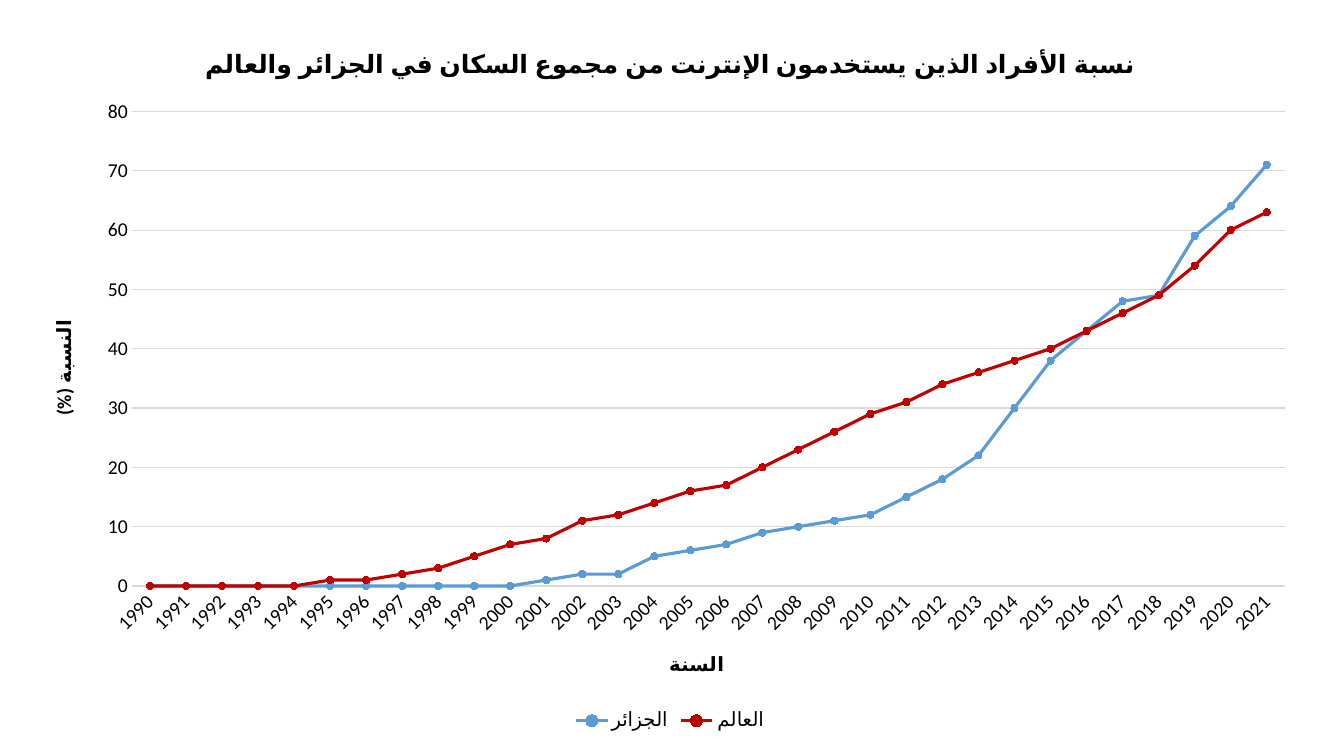
from dataclasses import dataclass

from lxml.etree import SubElement
from pptx import Presentation
from pptx.chart.chart import Chart
from pptx.chart.data import CategoryChartData as ChartData
from pptx.dml.color import RGBColor
from pptx.enum.chart import XL_CHART_TYPE as ChartType
from pptx.enum.chart import XL_LEGEND_POSITION as LegendPlace
from pptx.enum.chart import XL_MARKER_STYLE as MarkerStyle
from pptx.enum.chart import XL_TICK_MARK as TickMark
from pptx.oxml.ns import qn
from pptx.util import Inches, Pt

SLIDE_WIDTH, SLIDE_HEIGHT = Inches(13.33), Inches(7.5)
CHART_SHARES = (0.022, 0.035, 0.953, 0.937)
PLOT_SHARES = {"x": 0.08, "y": 0.12, "w": 0.9, "h": 0.67}
BLACK, GRID_GREY = "000000", "D9D9D9"
BODY = {"name": "Calibri", "size": Pt(14), "bold": False}
AXIS_HEADING = BODY | {"bold": True}
HEADING = AXIS_HEADING | {"size": Pt(18)}
YEARS = range(1990, 2022)


@dataclass
class Trend:
    name: str
    color: str
    values: list[int]


TRENDS = [
    Trend("الجزائر", "5B9BD5",
          [0] * 11 + [1, 2, 2, 5, 6, 7, 9, 10, 11, 12, 15, 18, 22, 30, 38, 43,
                      48, 49, 59, 64, 71]),
    Trend("العالم", "C00000",
          [0] * 5 + [1, 1, 2, 3, 5, 7, 8, 11, 12, 14, 16, 17, 20, 23, 26, 29,
                     31, 34, 36, 38, 40, 43, 46, 49, 54, 60, 63]),
]


def rgb(color: str) -> RGBColor:
    return RGBColor.from_string(color)


def set_font(font, values: dict) -> None:
    for name, value in values.items():
        setattr(font, name, value)
    font.color.rgb = rgb(BLACK)


def set_line(line, color: str, width: float) -> None:
    line.color.rgb = rgb(color)
    line.width = Pt(width)


def set_title(owner, text: str, values: dict) -> None:
    owner.has_title = True
    frame = owner.chart_title.text_frame if isinstance(owner, Chart) else owner.axis_title.text_frame
    span = frame.paragraphs[0].add_run()
    span.text = text
    set_font(span.font, values)


def style_axes(chart: Chart) -> None:
    years, shares = chart.category_axis, chart.value_axis
    for axis, text in ((years, "السنة"), (shares, "(%) النسبة")):
        axis.major_tick_mark = axis.minor_tick_mark = TickMark.NONE
        set_font(axis.tick_labels.font, BODY)
        axis.has_title = True
        set_title_text(axis, text)
    set_line(years.format.line, GRID_GREY, 0.75)
    shares.minimum_scale, shares.maximum_scale, shares.major_unit = 0, 80, 10
    shares.format.line.fill.background()
    shares.has_major_gridlines = True
    set_line(shares.major_gridlines.format.line, GRID_GREY, 0.75)
    label_body = chart.element.xpath(".//c:catAx/c:txPr/a:bodyPr")[0]
    label_body.set("rot", str(-45 * 60000))
    label_body.set("vert", "horz")


def set_title_text(axis, text: str) -> None:
    set_title(axis, text, AXIS_HEADING)


def style_trends(chart: Chart) -> None:
    for series, trend in zip(chart.plots[0].series, TRENDS):
        series.smooth = False
        set_line(series.format.line, trend.color, 2.25)
        series.marker.style = MarkerStyle.CIRCLE
        series.marker.size = 5
        series.marker.format.fill.solid()
        series.marker.format.fill.fore_color.rgb = rgb(trend.color)
        set_line(series.marker.format.line, trend.color, 0.75)


def place_plot(chart: Chart) -> None:
    area = chart.element.xpath(".//c:plotArea")[0]
    for old in area.findall(qn("c:layout")):
        area.remove(old)
    layout = SubElement(area, qn("c:layout"))
    area.insert(0, layout)
    manual = SubElement(layout, qn("c:manualLayout"))
    settings = {"layoutTarget": "inner", "xMode": "edge", "yMode": "edge"} | PLOT_SHARES
    for name, value in settings.items():
        SubElement(manual, qn(f"c:{name}")).set("val", str(value))


def add_trend_chart(page) -> None:
    data = ChartData()
    data.categories = [str(year) for year in YEARS]
    for trend in TRENDS:
        data.add_series(trend.name, trend.values)
    sides = (SLIDE_WIDTH, SLIDE_HEIGHT) * 2
    place = [round(share * side) for share, side in zip(CHART_SHARES, sides)]
    chart = page.shapes.add_chart(ChartType.LINE_MARKERS, *place, data).chart
    set_font(chart.font, BODY | {"size": Pt(10)})
    set_title(chart, "نسبة الأفراد الذين يستخدمون الإنترنت من مجموع السكان في الجزائر والعالم", HEADING)
    chart.chart_title.include_in_layout = False
    chart.plots[0].vary_by_categories = False
    chart.has_legend = True
    chart.legend.position = LegendPlace.BOTTOM
    chart.legend.include_in_layout = False
    set_font(chart.legend.font, BODY)
    style_axes(chart)
    style_trends(chart)
    place_plot(chart)


def main() -> None:
    deck = Presentation()
    deck.slide_width, deck.slide_height = SLIDE_WIDTH, SLIDE_HEIGHT
    page = deck.slides.add_slide(deck.slide_layouts[6])
    add_trend_chart(page)
    deck.save("out.pptx")


if __name__ == "__main__":
    main()
